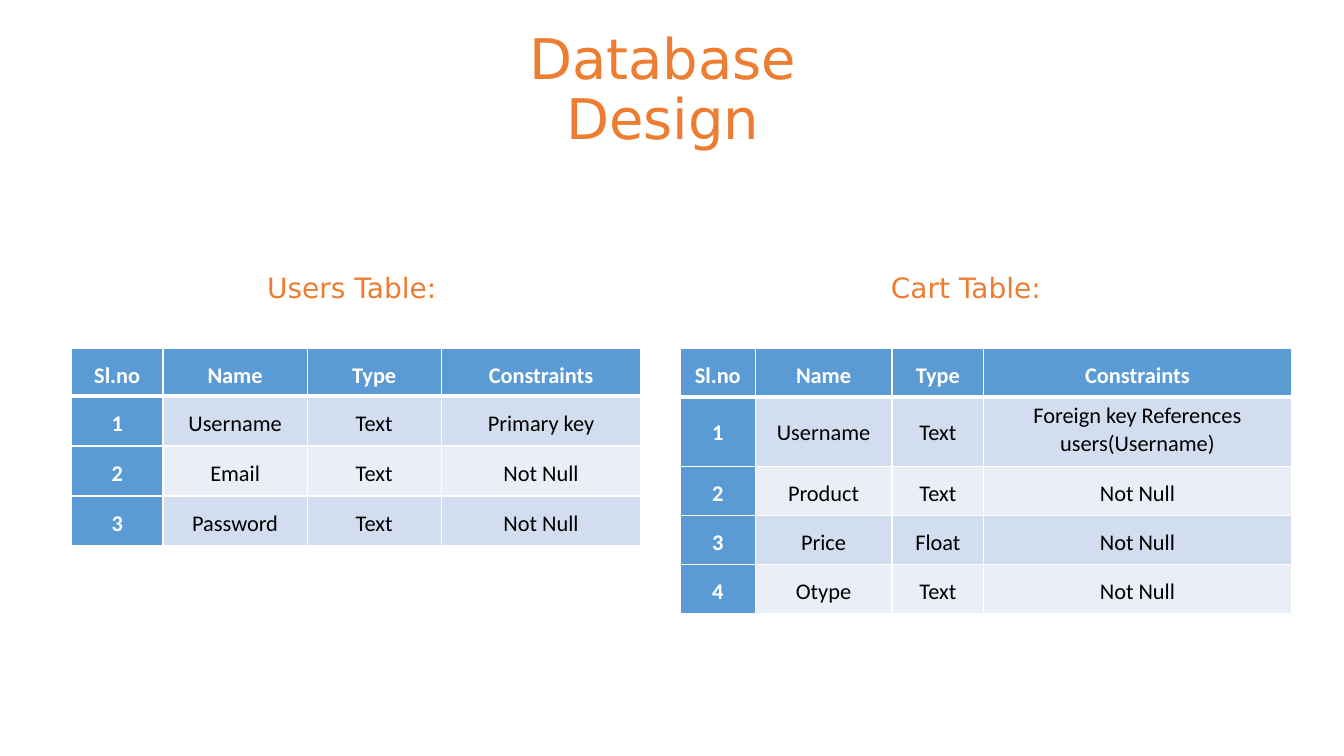
from pptx import Presentation
from pptx.dml.color import RGBColor
from pptx.enum.text import MSO_ANCHOR, MSO_AUTO_SIZE, PP_ALIGN
from pptx.oxml import parse_xml
from pptx.oxml.ns import nsdecls
from pptx.util import Cm, Pt

ORANGE = RGBColor(0xED, 0x7D, 0x31)
BLUE = RGBColor(0x5B, 0x9B, 0xD5)
DARK_BAND = RGBColor(0xD2, 0xDE, 0xEF)
LIGHT_BAND = RGBColor(0xEA, 0xEF, 0xF7)
WHITE = RGBColor(0xFF, 0xFF, 0xFF)
BLACK = RGBColor(0x00, 0x00, 0x00)


def write(frame, text, size=20, font="DejaVu Sans", color=ORANGE, bold=False,
          align=PP_ALIGN.CENTER, spacing=1.5):
    paragraph = frame.paragraphs[0]
    paragraph.alignment = align
    paragraph.line_spacing = spacing
    run = paragraph.add_run()
    run.text = text
    run.font.size = Pt(size)
    run.font.name = font
    run.font.color.rgb = color
    run.font.bold = bold


def add_borders(cell, **widths):
    for side in ("L", "R", "T", "B"):
        cell._tc.get_or_add_tcPr().append(parse_xml(
            f'<a:ln{side} {nsdecls("a")} w="{Pt(widths.get(side, 1))}"><a:solidFill>'
            f'<a:srgbClr val="{WHITE}"/></a:solidFill></a:ln{side}>'))


prs = Presentation()
prs.slide_width, prs.slide_height = Cm(33.87), Cm(19.05)
slide = prs.slides.add_slide(prs.slide_layouts[5])

# Title
title = slide.shapes.title
title.left, title.top, title.width, title.height = Cm(10.44), Cm(1.12), Cm(12.52), Cm(2.36)
title.text_frame.word_wrap = True
title.text_frame.auto_size = MSO_AUTO_SIZE.NONE
title.text_frame.vertical_anchor = MSO_ANCHOR.MIDDLE
write(title.text_frame, "Database Design", size=40, spacing=0.9)

# Table headings
headings = [
    ("Users Table:", 6.48, 6.15, 5.0, 1.63, PP_ALIGN.LEFT),
    ("Cart Table:", 22.2, 5.49, 5.26, 2.29, PP_ALIGN.JUSTIFY),
]
for text, left, top, width, height, align in headings:
    heading = slide.shapes.add_textbox(Cm(left), Cm(top), Cm(width), Cm(height)).text_frame
    heading.word_wrap = True
    heading.vertical_anchor = MSO_ANCHOR.BOTTOM
    write(heading, text, align=align)

# Table contents: left edge, column widths, row heights, fields
HEADER = ("Sl.no", "Name", "Type", "Constraints")
FOREIGN_KEY = "Foreign key References users(Username)"
schemas = [
    (1.8, (2.31, 3.63, 3.38, 5.03), (1.19, 1.26, 1.26, 1.26), [
        ("Username", "Text", "Primary key"),
        ("Email", "Text", "Not Null"),
        ("Password", "Text", "Not Null"),
    ]),
    (17.15, (1.88, 3.45, 2.31, 7.75), (1.22, 1.74, 1.24, 1.24, 1.24), [
        ("Username", "Text", FOREIGN_KEY),
        ("Product", "Text", "Not Null"),
        ("Price", "Float", "Not Null"),
        ("Otype", "Text", "Not Null"),
    ]),
]

# Tables
for left, widths, heights, fields in schemas:
    rows = [HEADER] + [(str(n), *field) for n, field in enumerate(fields, 1)]
    table = slide.shapes.add_table(len(rows), len(HEADER), Cm(left), Cm(8.79),
                                   Cm(sum(widths)), Cm(sum(heights))).table
    for column, width in zip(table.columns, widths):
        column.width = Cm(width)
    for r, (values, height) in enumerate(zip(rows, heights)):
        table.rows[r].height = Cm(height)
        for c, value in enumerate(values):
            cell = table.cell(r, c)
            cell.margin_left = cell.margin_right = Cm(0.1)
            cell.margin_top = cell.margin_bottom = Cm(0)
            if FOREIGN_KEY in values:
                cell.margin_top = Cm(0.13 if value == FOREIGN_KEY else 0.2)
            add_borders(cell, T=3 if r == 1 else 1, B=3 if r == 0 else 1)
            label = r == 0 or c == 0
            cell.fill.solid()
            cell.fill.fore_color.rgb = BLUE if label else DARK_BAND if r % 2 else LIGHT_BAND
            write(cell.text_frame, value, size=16, font="Calibri", bold=label,
                  color=WHITE if label else BLACK,
                  spacing=1.0 if value == FOREIGN_KEY else 1.5)

prs.save("out.pptx")
